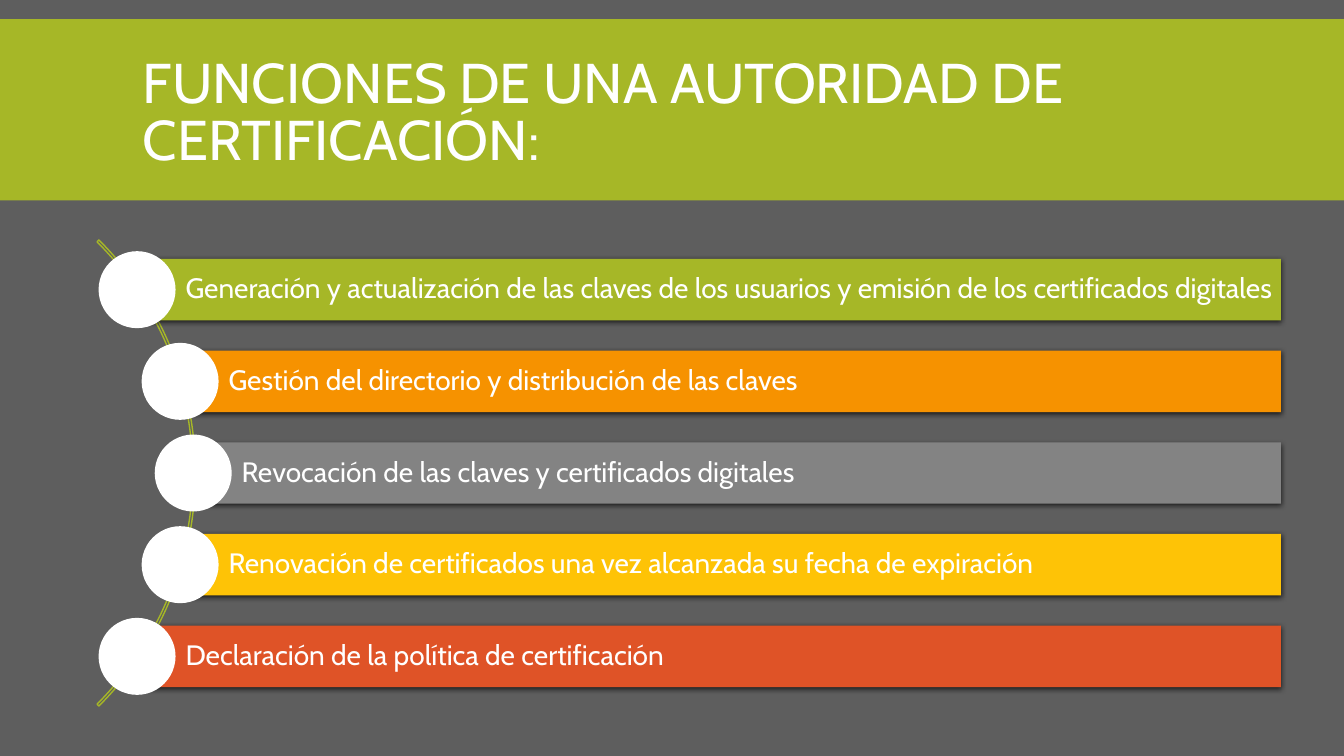
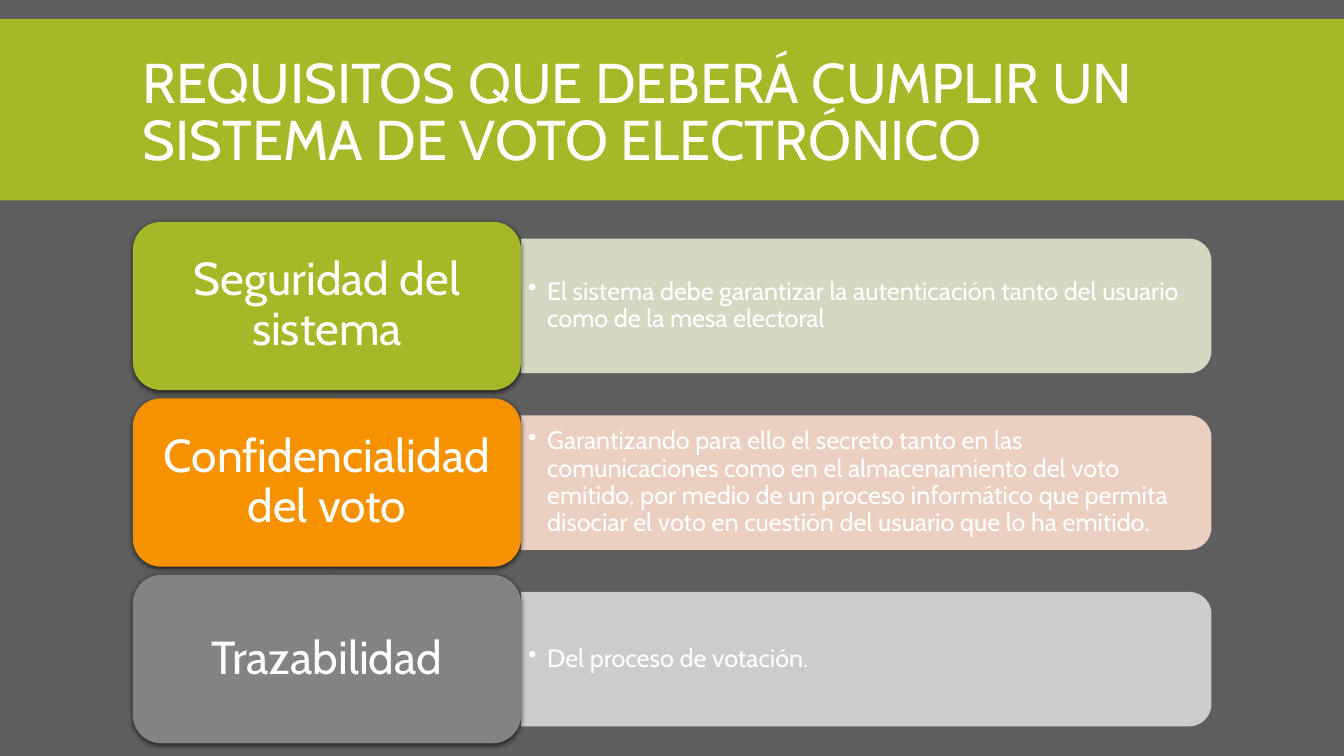
from dataclasses import dataclass
from math import sqrt

from lxml.etree import SubElement as Sub
from pptx import Presentation
from pptx.dml.color import RGBColor as Rgb
from pptx.enum.shapes import MSO_SHAPE as Kind
from pptx.enum.text import MSO_ANCHOR as Anchor, MSO_AUTO_SIZE as Fit, PP_ALIGN as Align
from pptx.oxml.ns import qn
from pptx.util import Cm, Pt


@dataclass(frozen=True)
class Theme:
    """Colours, type sizes and font of the deck."""

    font: str = "Cabin"
    back: str = "5E5E5E"
    white: str = "FFFFFF"
    black: str = "000000"
    green: str = "A6B727"
    orange: str = "F69200"
    gray: str = "838383"
    yellow: str = "FEC306"
    red: str = "DF5327"
    sage: str = "E1E6CD"
    peach: str = "FBDCCC"
    silver: str = "D9D9D9"
    head: int = 40
    label: int = 33
    row: int = 20
    note: int = 18


T = Theme()
WIDE, HIGH = 33.87, 19.05

DUTIES = [
    ("Generación y actualización de las claves de los usuarios y emisión de los certificados digitales", T.green),
    ("Gestión del directorio y distribución de las claves", T.orange),
    ("Revocación de las claves y certificados digitales", T.gray),
    ("Renovación de certificados una vez alcanzada su fecha de expiración", T.yellow),
    ("Declaración de la política de certificación", T.red),
]

NEEDS = [
    ("Seguridad del sistema", T.green, T.sage,
     "El sistema debe garantizar la autenticación tanto del usuario como de la mesa electoral"),
    ("Confidencialidad del voto", T.orange, T.peach,
     "Garantizando para ello el secreto tanto en las comunicaciones como en el almacenamiento "
     "del voto emitido, por medio de un proceso informático que permita disociar el voto en "
     "cuestión del usuario que lo ha emitido."),
    ("Trazabilidad", T.gray, T.silver, "Del proceso de votación."),
]


def rgb(code):
    """Turn a hex code into a colour."""
    return Rgb.from_string(code)


def draw(slide, kind, box, fill=None, line=None):
    """Add a flat shape in a box given in centimetres."""
    shape = slide.shapes.add_shape(kind, *map(Cm, box))
    shape.shadow.inherit = False
    if fill:
        shape.fill.solid()
        shape.fill.fore_color.rgb = rgb(fill)
    else:
        shape.fill.background()
    if line:
        shape.line.color.rgb = rgb(line)
        shape.line.width = Pt(1)
    else:
        shape.line.fill.background()
    return shape


def fade(shape, part):
    """Make a solid fill partly opaque, in percent."""
    tint = shape.element.spPr.find(qn("a:solidFill"))[0]
    Sub(tint, qn("a:alpha"), val=str(part * 1000))


def shade(shape):
    """Give a shape the soft shadow below it."""
    glow = Sub(shape.element.spPr.find(qn("a:effectLst")), qn("a:outerShdw"),
               blurRad=str(Pt(4)), dist=str(Pt(1.2)), dir="5400000", rotWithShape="0")
    tint = Sub(glow, qn("a:srgbClr"), val=T.black)
    Sub(tint, qn("a:alpha"), val="68000")


def write(shape, text, size, pads, align=Align.LEFT, lead=0.9, dot=False):
    """Set one paragraph, with pads as left, top, right, bottom."""
    frame = shape.text_frame
    frame.auto_size = Fit.NONE
    frame.word_wrap = True
    frame.vertical_anchor = Anchor.MIDDLE
    (frame.margin_left, frame.margin_top,
     frame.margin_right, frame.margin_bottom) = map(Cm, pads)
    para = frame.paragraphs[0]
    para.alignment = align
    para.line_spacing = lead
    if dot:
        props = para._p.get_or_add_pPr()
        props.set("marL", str(Cm(0.48)))
        props.set("indent", str(-Cm(0.48)))
        Sub(props, qn("a:buChar"), char="•")
    run = para.add_run()
    run.text = text
    run.font.name = T.font
    run.font.size = Pt(size)
    run.font.color.rgb = rgb(T.white)


def start(prs, title):
    """Add a slide with its band and title."""
    slide = prs.slides.add_slide(prs.slide_layouts.get_by_name("Title Only"))
    band = draw(slide, Kind.RECTANGLE, (0, 0.48, WIDE, 4.57), T.green)
    slide.shapes.element.insert(2, band.element)
    head = slide.shapes.title
    head.left, head.top, head.width, head.height = map(Cm, (3.35, 0.79, 27.18, 4.19))
    write(head, title, T.head, (0.25, 0.13, 0.25, 0.13), lead=0.85)
    return slide


def curve(slide, box, rows):
    """Place bars and discs along an arc at the left of a box."""
    left, top, width, height = box
    size, step, reach, bar, disc = 16.61, 2.31, 8.25, 1.55, 1.94
    hub, mid = left - 5.84, top + height / 2
    arc = draw(slide, Kind.BLOCK_ARC, (hub - size / 2, mid - size / 2, size, size), line=T.green)
    for spot, value in enumerate((189, 27, 0.004)):
        arc.adjustments[spot] = value
    for rank, (text, fill) in enumerate(rows):
        drop = (rank - (len(rows) - 1) / 2) * step
        x, y = hub + sqrt(reach ** 2 - drop ** 2), mid + drop
        strip = draw(slide, Kind.RECTANGLE, (x, y - bar / 2, left + width - x, bar), fill)
        shade(strip)
        write(strip, text, T.row, (1.22, 0.15, 0.15, 0.15))
        draw(slide, Kind.OVAL, (x - disc / 2, y - disc / 2, disc, disc), T.white)


def pair(slide, box, label, fill, pale, note):
    """Place a label block and its note panel in a box."""
    left, top, width, height = box
    wide, tall = 9.78, 3.39
    x, long = left + wide, width - wide
    mid = top + height / 2
    panel = draw(slide, Kind.ROUND_2_SAME_RECTANGLE,
                 (x + (long - tall) / 2, mid - long / 2, tall, long), pale)
    panel.rotation = 90
    fade(panel, 90)
    area = slide.shapes.add_textbox(*map(Cm, (x, mid - 1.53, long - 0.18, 3.06)))
    write(area, note, T.note, (0.18, 0.1, 0.18, 0.1), dot=True)
    block = draw(slide, Kind.ROUNDED_RECTANGLE, (left, top, wide, height), fill)
    shade(block)
    write(block, label, T.label, (0.36, 0.18, 0.36, 0.18), Align.CENTER)


def stack(slide, box, rows):
    """Share a box evenly among label and note pairs."""
    left, top, width, height = box
    gap = 0.21
    tall = (height - gap * (len(rows) - 1)) / len(rows)
    for rank, row in enumerate(rows):
        pair(slide, (left, top + rank * (tall + gap), width, tall), *row)


def main():
    """Build and save the deck."""
    prs = Presentation()
    prs.slide_width, prs.slide_height = Cm(WIDE), Cm(HIGH)
    back = prs.slide_master.background.fill
    back.solid()
    back.fore_color.rgb = rgb(T.back)
    curve(start(prs, "FUNCIONES DE UNA AUTORIDAD DE CERTIFICACIÓN:"),
          (2.46, 6.04, 29.82, 11.76), DUTIES)
    stack(start(prs, "REQUISITOS QUE DEBERÁ CUMPLIR UN SISTEMA DE VOTO ELECTRÓNICO"),
          (3.35, 5.59, 27.18, 13.14), NEEDS)
    prs.save("out.pptx")


if __name__ == "__main__":
    main()
